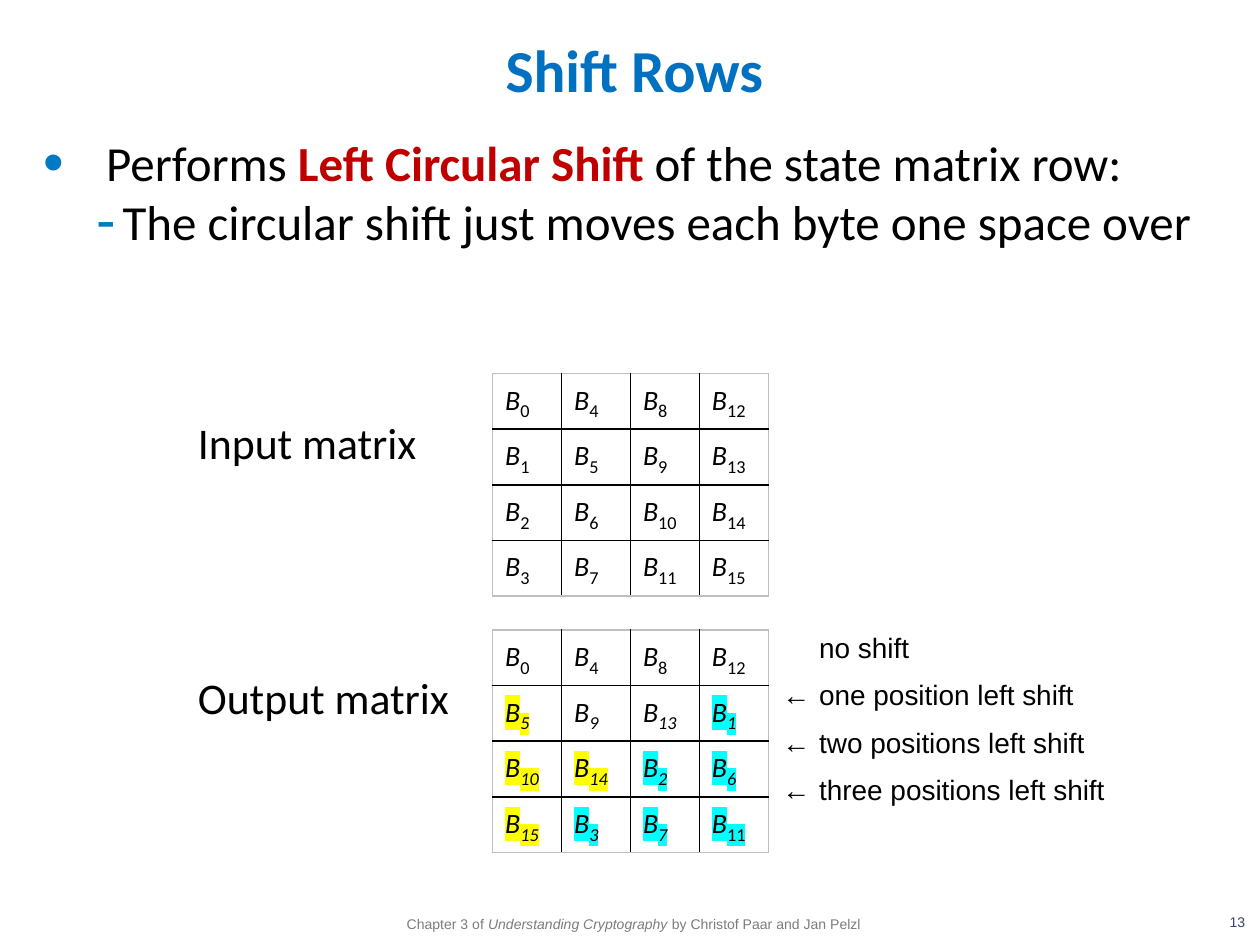
import pptx
import pptx.util
import pptx.dml.color
import pptx.enum.text
import pptx.oxml
import pptx.oxml.ns
from lxml import etree

Pt = pptx.util.Pt
RGBColor = pptx.dml.color.RGBColor
PP_ALIGN = pptx.enum.text.PP_ALIGN
MSO_ANCHOR = pptx.enum.text.MSO_ANCHOR
qn = pptx.oxml.ns.qn

BLACK = RGBColor(0x00, 0x00, 0x00)
TITLE_BLUE = RGBColor(0x00, 0x70, 0xC0)
BULLET_BLUE = RGBColor(0x00, 0x7A, 0xC2)
RED = RGBColor(0xC0, 0x00, 0x00)
FOOTER_GRAY = RGBColor(0x7C, 0x7C, 0x7C)
NUMBER_BLUE = RGBColor(0x39, 0x40, 0x73)
EDGE_GRAY = RGBColor(0xBF, 0xBF, 0xBF)
YELLOW = RGBColor(0xFF, 0xFF, 0x00)
CYAN = RGBColor(0x00, 0xFF, 0xFF)

SIZE = 4
CELL_WIDTH = 39.4
CELL_HEIGHT = 26.5
STAYING_BYTES = {5, 10, 14, 15}


class SlideWriter:
    heading_font = "Calibri"
    note_font = "Arial"

    def __init__(self, slide):
        self.slide = slide

    def run(self, paragraph, text, size, font=heading_font, color=BLACK, bold=False, italic=False):
        run = paragraph.add_run()
        run.text = text
        run.font.size = Pt(size)
        run.font.name = font
        run.font.color.rgb = color
        run.font.bold = bold
        run.font.italic = italic
        return run

    def place(self, shape, left, top, width, height):
        shape.left, shape.top = Pt(left), Pt(top)
        shape.width, shape.height = Pt(width), Pt(height)

    def indent(self, paragraph, margin, hanging):
        properties = paragraph._p.get_or_add_pPr()
        properties.set("marL", str(Pt(margin)))
        properties.set("indent", str(-Pt(hanging)))
        return properties

    def title(self, text, box):
        title = self.slide.shapes.title
        self.place(title, *box)
        title.text_frame.vertical_anchor = MSO_ANCHOR.MIDDLE
        paragraph = title.text_frame.paragraphs[0]
        paragraph.alignment = PP_ALIGN.CENTER
        self.run(paragraph, text, 34, color=TITLE_BLUE, bold=True)

    def bullets(self, items, box):
        body = self.slide.placeholders[1]
        self.place(body, *box)
        frame = body.text_frame
        for index, (level, symbol, margin, hanging, parts) in enumerate(items):
            paragraph = frame.paragraphs[0] if index == 0 else frame.add_paragraph()
            paragraph.level = level
            paragraph.space_before = Pt(0)
            properties = self.indent(paragraph, margin, hanging)
            color = etree.SubElement(properties, qn("a:buClr"))
            etree.SubElement(color, qn("a:srgbClr"), val=str(BULLET_BLUE))
            etree.SubElement(properties, qn("a:buSzPct"), val="120000")
            etree.SubElement(properties, qn("a:buFont"), typeface=self.note_font)
            etree.SubElement(properties, qn("a:buChar"), char=symbol)
            for text, text_color, bold in parts:
                self.run(paragraph, text, 28, color=text_color, bold=bold)

    def text_box(self, box, wrap=True, inset=True):
        shape = self.slide.shapes.add_textbox(*map(Pt, box))
        frame = shape.text_frame
        frame.word_wrap = wrap
        if not inset:
            frame.margin_left = frame.margin_right = Pt(0)
            frame.margin_top = frame.margin_bottom = Pt(0)
        return frame

    def label(self, text, box, wrap=True):
        self.run(self.text_box(box, wrap).paragraphs[0], text, 25)

    def small_print(self, parts, box, alignment, color):
        paragraph = self.text_box(box, inset=False).paragraphs[0]
        paragraph.alignment = alignment
        for text, italic in parts:
            self.run(paragraph, text, 8, self.note_font, color, italic=italic)
        return paragraph

    def shift_notes(self, notes, box):
        frame = self.text_box(box)
        for index, note in enumerate(notes):
            paragraph = frame.paragraphs[0] if index == 0 else frame.add_paragraph()
            paragraph.space_before = Pt(8 if index else 0)
            self.indent(paragraph, 71, 21)
            self.run(paragraph, note, 16, self.note_font)

    def border(self, cell, side, color):
        line = etree.SubElement(cell._tc.get_or_add_tcPr(), qn("a:" + side), w=str(Pt(1)))
        fill = etree.SubElement(line, qn("a:solidFill"))
        etree.SubElement(fill, qn("a:srgbClr"), val=str(color))

    def highlight(self, run, color):
        mark = etree.Element(qn("a:highlight"))
        etree.SubElement(mark, qn("a:srgbClr"), val=str(color))
        run._r.get_or_add_rPr().find(qn("a:solidFill")).addnext(mark)

    def matrix(self, left, top, shifted):
        box = (left, top, SIZE * CELL_WIDTH, SIZE * CELL_HEIGHT)
        table = self.slide.shapes.add_table(SIZE, SIZE, *map(Pt, box)).table
        table.first_row = table.horz_banding = False
        for row in range(SIZE):
            for column in range(SIZE):
                source = column + row if shifted else column
                number = row + SIZE * (source % SIZE)
                cell = table.cell(row, column)
                cell.vertical_anchor = MSO_ANCHOR.MIDDLE
                edges = {"lnL": column == 0, "lnR": column == SIZE - 1,
                         "lnT": row == 0, "lnB": row == SIZE - 1}
                for side, outer in edges.items():
                    self.border(cell, side, EDGE_GRAY if outer else BLACK)
                cell.fill.background()
                paragraph = cell.text_frame.paragraphs[0]
                letter = self.run(paragraph, "B", 16, italic=True)
                slanted = shifted and row > 0 and number != 11
                subscript = self.run(paragraph, str(number), 18, italic=slanted)
                subscript._r.get_or_add_rPr().set("baseline", "-25000")
                wrapped = source >= SIZE
                if wrapped or (shifted and number in STAYING_BYTES and row > 0):
                    for run in (letter, subscript):
                        self.highlight(run, CYAN if wrapped else YELLOW)


def main():
    presentation = pptx.Presentation()
    presentation.slide_width, presentation.slide_height = Pt(720), Pt(540)
    writer = SlideWriter(presentation.slides.add_slide(presentation.slide_layouts[1]))

    writer.shift_notes(
        ["\tno shift", "←\tone position left shift",
         "←\ttwo positions left shift", "←\tthree positions left shift"],
        (390, 356.5, 253, 106.5))
    writer.title("Shift Rows", (18.5, 12, 688, 54))
    writer.small_print([("13", False)], (672, 522, 39.5, 14.5), PP_ALIGN.RIGHT, NUMBER_BLUE)
    credit = writer.small_print(
        [("Chapter 3 of ", False), ("Understanding Cryptography", True),
         (" by Christof Paar and Jan Pelzl", False)],
        (192, 521.5, 340.5, 17), PP_ALIGN.CENTER, FOOTER_GRAY)
    credit.line_spacing = 1.2
    writer.bullets(
        [(0, "•", 36, 36, [("Performs ", BLACK, False), ("Left Circular Shift ", RED, True),
                           ("of the state matrix row:", BLACK, False)]),
         (1, "-", 45.4, 15, [("The circular shift just moves each byte one space over",
                              BLACK, False)])],
        (17.5, 72, 691, 120))
    writer.matrix(281.5, 213.5, shifted=False)
    writer.matrix(281.5, 360, shifted=True)
    writer.label("Input matrix", (106, 234, 155, 37.5))
    writer.label("Output matrix", (106, 379.5, 163, 37.5), wrap=False)
    presentation.save("out.pptx")


if __name__ == "__main__":
    main()
